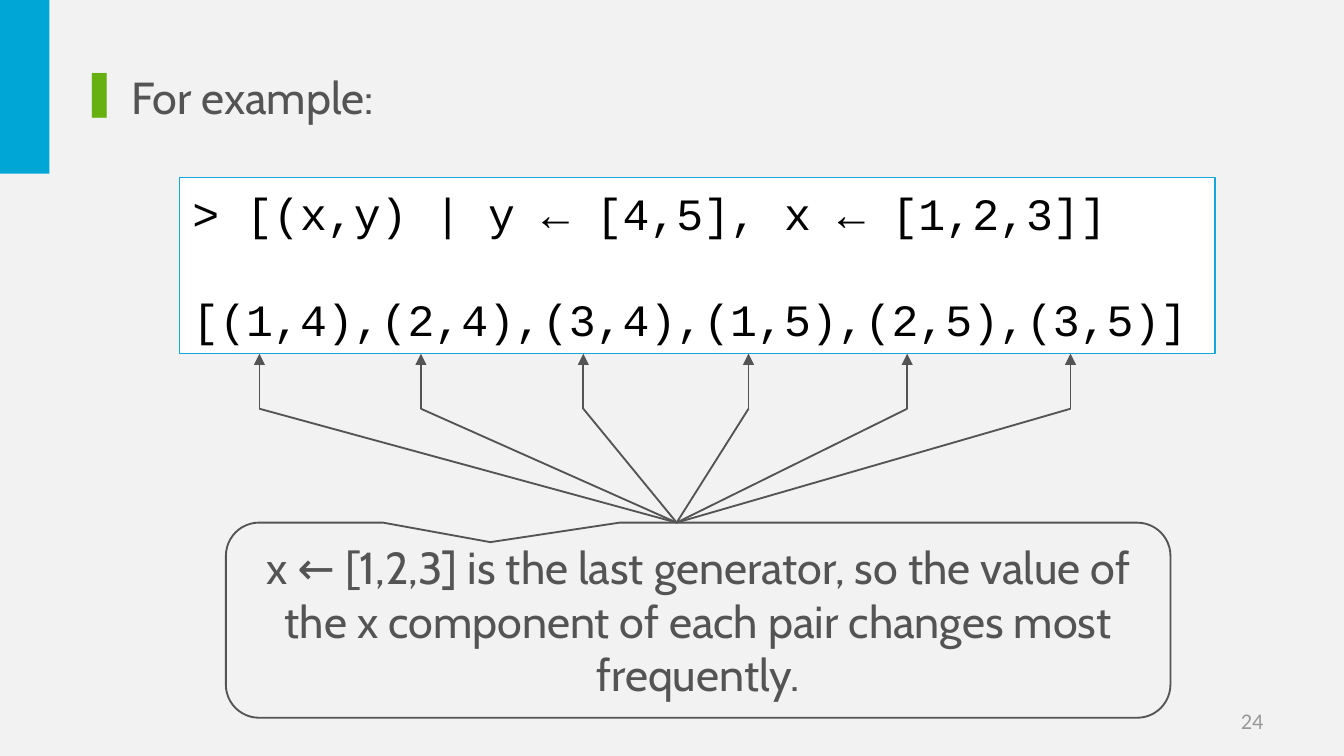
"""Build the slide on generator order in list comprehensions."""
import pptx
import pptx.dml.color
import pptx.enum.shapes
import pptx.enum.text
import pptx.oxml.ns
import pptx.util
from lxml import etree

Pt = pptx.util.Pt
qn = pptx.oxml.ns.qn
SHAPE = pptx.enum.shapes.MSO_SHAPE
ALIGN = pptx.enum.text.PP_ALIGN
ANCHOR = pptx.enum.text.MSO_ANCHOR


def rgb(value):
    return pptx.dml.color.RGBColor.from_string(value)


class Deck:
    TEXT, CYAN, GREEN, GREY = "545454", "00A6D6", "66B010", "999999"

    def __init__(self, width, height):
        self.prs = pptx.Presentation()
        self.prs.slide_width, self.prs.slide_height = Pt(width), Pt(height)

    def slide(self, color):
        self.s = self.prs.slides.add_slide(self.prs.slide_layouts[5])
        fill = self.s.background.fill
        fill.solid()
        fill.fore_color.rgb = rgb(color)

    def place(self, sp, box):
        for name, value in zip(("left", "top", "width", "height"), box):
            setattr(sp, name, Pt(value))

    def set_text(self, sp, lines, font="Cabin", size=24, color=TEXT,
                 align=ALIGN.LEFT, anchor=ANCHOR.MIDDLE, gap=0):
        tf = sp.text_frame
        frame = {"word_wrap": True, "vertical_anchor": anchor,
                 "auto_size": pptx.enum.text.MSO_AUTO_SIZE.NONE}
        for name, value in frame.items():
            setattr(tf, name, value)
        for i, line in enumerate(lines):
            p = tf.add_paragraph() if i else tf.paragraphs[0]
            p.alignment = align
            if i:
                p.space_before = Pt(gap)
            r = p.add_run()
            r.text = line
            for name, value in {"name": font, "size": Pt(size)}.items():
                setattr(r.font, name, value)
            r.font.color.rgb = rgb(color)

    def title(self, text, box):
        sp = self.s.shapes.title
        self.place(sp, box)
        pPr = sp.text_frame.paragraphs[0]._p.get_or_add_pPr()
        for name, value in {"marL": Pt(27), "indent": -Pt(27)}.items():
            pPr.set(name, str(value))
        clr = etree.SubElement(pPr, qn("a:buClr"))
        etree.SubElement(clr, qn("a:srgbClr"), val=self.GREEN)
        etree.SubElement(pPr, qn("a:buChar"), char="❚")
        self.set_text(sp, [text], anchor=ANCHOR.TOP)

    def text(self, lines, box, **style):
        sp = self.s.shapes.add_textbox(*map(Pt, box))
        self.set_text(sp, lines, **style)

    def shape(self, kind, box, fill=None, line=None, weight=1, adjust=()):
        sp = self.s.shapes.add_shape(kind, *map(Pt, box))
        sp.shadow.inherit = False
        for i, value in enumerate(adjust):
            sp.adjustments[i] = value
        if fill:
            sp.fill.solid()
            sp.fill.fore_color.rgb = rgb(fill)
        else:
            sp.fill.background()
        if line:
            sp.line.color.rgb = rgb(line)
            sp.line.width = Pt(weight)
        else:
            sp.line.fill.background()
        return sp

    def line(self, start, end, arrow=False):
        kind = pptx.enum.shapes.MSO_CONNECTOR.STRAIGHT
        sp = self.s.shapes.add_connector(kind, *map(Pt, start + end))
        sp.line.color.rgb = rgb(self.TEXT)
        sp.line.width = Pt(1)
        spPr = sp._element.spPr
        if arrow:
            etree.SubElement(spPr.find(qn("a:ln")), qn("a:tailEnd"), type="triangle")
        etree.SubElement(spPr, qn("a:effectLst"))


def main():
    d = Deck(720, 405)
    d.slide("F2F2F2")
    d.shape(SHAPE.RECTANGLE, (0, 0, 26.5, 93), fill=d.CYAN)
    d.title("For example:", (36, 34, 224, 35))
    d.text(["24"], (516, 375, 168, 22), font="Calibri", size=12,
           color=d.GREY, align=ALIGN.RIGHT)

    code = d.shape(SHAPE.RECTANGLE, (96, 95, 555, 94.3), fill="FFFFFF",
                   line="15A8DB", weight=0.75)
    d.set_text(code, ["> [(x,y) | y ← [4,5], x ← [1,2,3]]",
                      "[(1,4),(2,4),(3,4),(1,5),(2,5),(3,5)]"],
               font="Courier New", color="000000", gap=28)

    note = d.shape(SHAPE.ROUNDED_RECTANGULAR_CALLOUT, (121, 280, 506, 104.5),
                   line=d.TEXT, adjust=(-0.22, -0.4, 0.17))
    d.set_text(note, ["x ← [1,2,3] is the last generator, so the value of the x "
                      "component of each pair changes most frequently."],
               align=ALIGN.CENTER)

    hub, bend, tip = (362.5, 280), 219, 189.5
    for x in (139, 225.5, 312.5, 401, 486, 573.5):
        d.line((x, bend), (x, tip), arrow=True)
        d.line(hub, (x, bend))
    d.prs.save("out.pptx")


if __name__ == "__main__":
    main()
